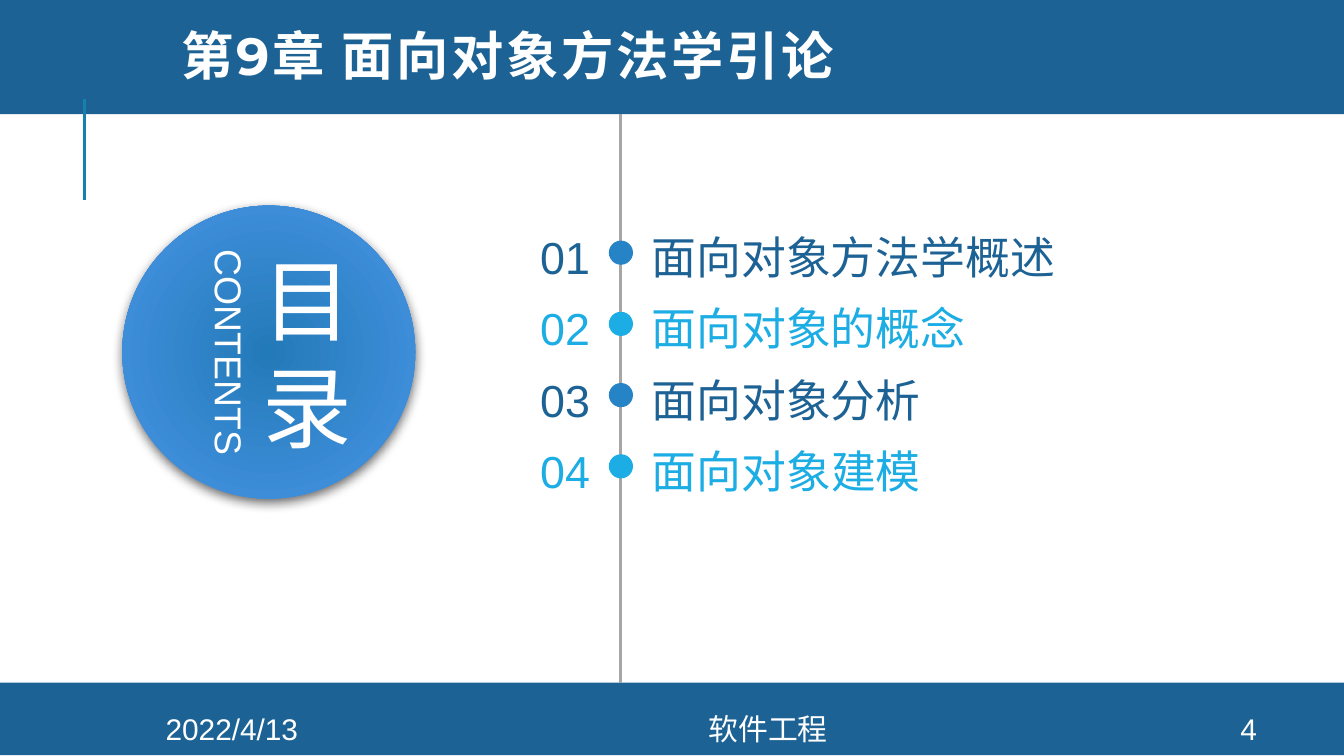
from dataclasses import dataclass

from lxml import etree
from pptx import Presentation
from pptx import util as u
from pptx.dml.color import RGBColor
from pptx.enum import shapes, text
from pptx.oxml.ns import qn

SLIDE_WIDTH = 10
SLIDE_HEIGHT = SLIDE_WIDTH * 9 / 16
NAVY, BLUE, SKY, WHITE = "1D6294", "2683C6", "1CADE4", "FFFFFF"
Box = tuple[float, float, float, float]


@dataclass
class Entry:
    title: str
    text_color: str
    dot_color: str
    width: float = 3.37


@dataclass
class FooterField:
    content: str
    left: float
    width: float


ENTRIES = [
    Entry("面向对象方法学概述", NAVY, BLUE),
    Entry("面向对象的概念", SKY, SKY),
    Entry("面向对象分析", NAVY, BLUE),
    Entry("面向对象建模", SKY, SKY, 4.01),
]
ENTRY_TOP, ENTRY_STEP = 1.71, 0.53

FOOTER = [
    FooterField("2022/4/13", 0.84, 1.77),
    FooterField("软件工程", 2.61, 6.21),
    FooterField("4", 8.89, 0.8),
]


def rgb(color: str) -> RGBColor:
    return RGBColor.from_string(color)


def add_filled(slide, kind, box: Box, color: str):
    shape = slide.shapes.add_shape(kind, *map(u.Inches, box))
    shape.shadow.inherit = False
    shape.fill.solid()
    shape.fill.fore_color.rgb = rgb(color)
    shape.line.fill.background()
    return shape


def add_line(slide, x: float, top: float, bottom: float, color: str) -> None:
    line = slide.shapes.add_connector(
        shapes.MSO_CONNECTOR.STRAIGHT,
        u.Inches(x), u.Inches(top), u.Inches(x), u.Inches(bottom))
    line.line.color.rgb = rgb(color)
    line.line.width = u.Pt(1.5)
    etree.SubElement(line._element.spPr, qn("a:effectLst"))


def add_text(slide, box: Box, lines: list[str], size: float, color: str = WHITE,
             align=text.PP_ALIGN.CENTER, anchor=text.MSO_ANCHOR.TOP,
             inset: bool = True, font: str = "Arial", bold: bool = False,
             tracking: float = 0):
    """Add one paragraph per line; tracking is letter spacing in points."""
    shape = slide.shapes.add_textbox(*map(u.Inches, box))
    frame = shape.text_frame
    frame.word_wrap = True
    frame.vertical_anchor = anchor
    if not inset:
        frame.margin_left = frame.margin_right = 0
        frame.margin_top = frame.margin_bottom = 0
    frame.text = "\n".join(lines)
    for paragraph in frame.paragraphs:
        paragraph.alignment = align
        paragraph.font.name = font
        paragraph.font.size = u.Pt(size)
        paragraph.font.bold = bold
        paragraph.font.color.rgb = rgb(color)
        if tracking:
            for run in paragraph.runs:
                run._r.get_or_add_rPr().set("spc", str(int(tracking * 100)))
    return shape


def add_contents_badge(slide) -> None:
    badge = add_filled(slide, shapes.MSO_SHAPE.OVAL, (0.91, 1.53, 2.18, 2.18), BLUE)
    badge.fill.gradient()
    for stop, color in zip(badge.fill.gradient_stops, ("237AB8", "4895E7")):
        stop.color.rgb = rgb(color)
    properties = badge._element.spPr
    gradient = properties.find(qn("a:gradFill"))
    gradient.remove(gradient.find(qn("a:lin")))
    radial = etree.SubElement(gradient, qn("a:path"), path="circle")
    etree.SubElement(radial, qn("a:fillToRect"), dict.fromkeys("ltrb", "100000"))

    shadow = etree.SubElement(
        properties.find(qn("a:effectLst")), qn("a:outerShdw"),
        blurRad=str(u.Pt(6)), dist=str(u.Pt(2)), dir=str(90 * 60000),
        algn="t", rotWithShape="0")
    shade = etree.SubElement(shadow, qn("a:srgbClr"), val="000000")
    etree.SubElement(shade, qn("a:alpha"), val="60000")

    add_text(slide, (1.58, 1.61, 1.41, 2.02), ["目", "录"], 48,
             anchor=text.MSO_ANCHOR.MIDDLE, inset=False, tracking=6)
    add_text(slide, (0.65, 2.4, 2.11, 0.44), ["CONTENTS"], 20).rotation = 90


def add_entry(slide, number: int, entry: Entry) -> None:
    top = ENTRY_TOP + (number - 1) * ENTRY_STEP
    add_filled(slide, shapes.MSO_SHAPE.OVAL, (4.53, top + 0.08, 0.18, 0.18),
               entry.dot_color)
    add_text(slide, (3.8, top, 0.59, 0.4), [f"{number:02}"], 24, entry.text_color,
             align=text.PP_ALIGN.RIGHT, inset=False)
    add_text(slide, (4.85, top, entry.width, 0.4), [entry.title], 24,
             entry.text_color, align=text.PP_ALIGN.LEFT, inset=False)


def main() -> None:
    presentation = Presentation()
    presentation.slide_width = u.Inches(SLIDE_WIDTH)
    presentation.slide_height = u.Inches(SLIDE_HEIGHT)
    slide = presentation.slides.add_slide(presentation.slide_layouts[6])

    for top, height in ((-0.03, 0.88), (5.08, 0.54)):
        add_filled(slide, shapes.MSO_SHAPE.RECTANGLE,
                   (0, top, SLIDE_WIDTH, height), NAVY)
    add_line(slide, 0.63, 0.74, 1.49, "1482AC")
    add_line(slide, 4.62, 0.85, 5.08, "A6A6A6")
    add_contents_badge(slide)

    for field in FOOTER:
        add_text(slide, (field.left, 5.31, field.width, 0.23), [field.content], 16,
                 anchor=text.MSO_ANCHOR.MIDDLE)
    for number, entry in enumerate(ENTRIES, start=1):
        add_entry(slide, number, entry)

    title = add_text(slide, (1.25, 0.09, 8.26, 0.72), ["第9章 面向对象方法学引论"], 28,
                     align=text.PP_ALIGN.LEFT, anchor=text.MSO_ANCHOR.MIDDLE,
                     font="Montserrat", bold=True, tracking=1.5)
    title.text_frame.paragraphs[0].line_spacing = 0.8

    presentation.save("out.pptx")


if __name__ == "__main__":
    main()
